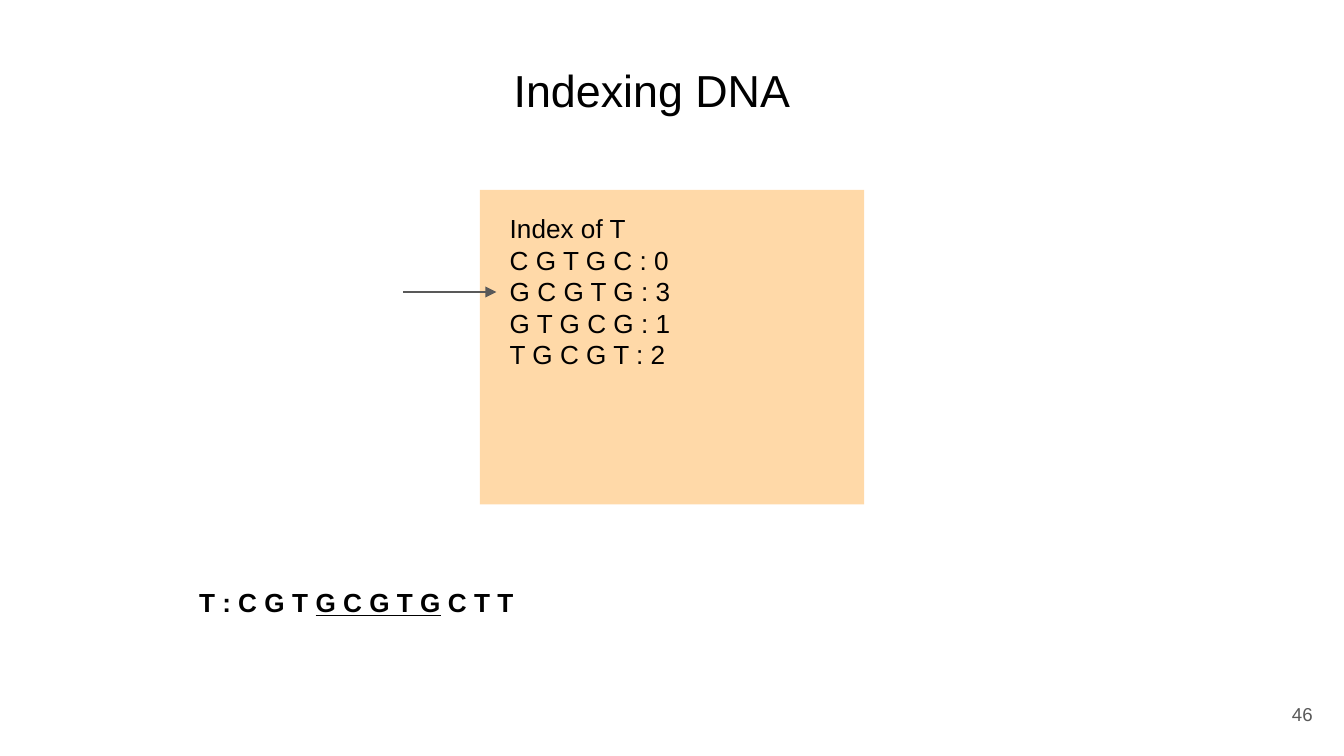
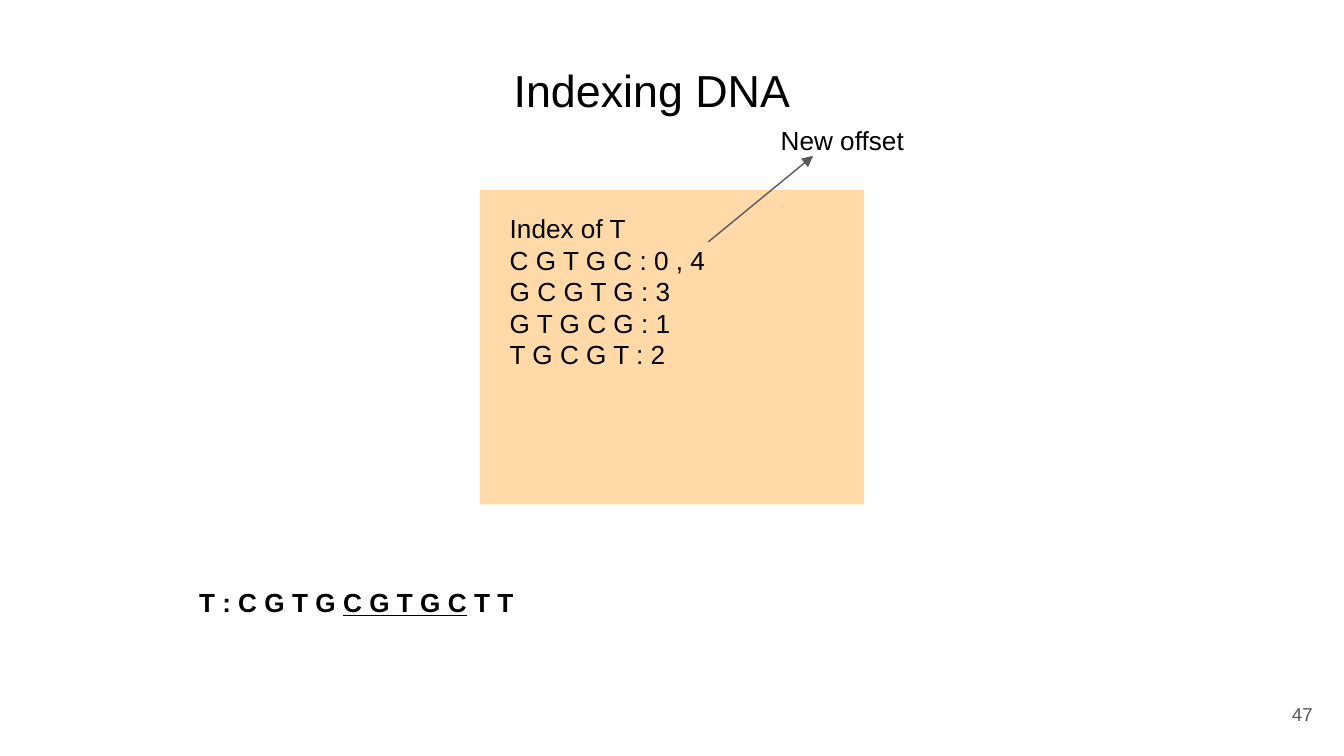
from dataclasses import dataclass
from typing import Optional

import pptx
import pptx.util
import pptx.dml.color
import pptx.enum.shapes
import pptx.enum.text
import pptx.oxml.ns
import pptx.presentation
import pptx.shapes.autoshape
import pptx.slide
import pptx.text.text

RGBColor = pptx.dml.color.RGBColor
Align = pptx.enum.text.PP_ALIGN
Anchor = pptx.enum.text.MSO_ANCHOR
qn = pptx.oxml.ns.qn

# Shared look
BLACK = RGBColor(0x00, 0x00, 0x00)
GRAY = RGBColor(0x59, 0x59, 0x59)
ORANGE = RGBColor(0xFF, 0xA5, 0x31)
PANEL_OPACITY = 42
FONT = "Arial"

# A 16:9 slide with a grid of 100 columns and square cells
WIDTH = pptx.util.Inches(10)
HEIGHT = pptx.util.Emu(WIDTH * 9 // 16)
CELL = WIDTH / 100


@dataclass(frozen=True)
class Box:
    col: float
    row: float
    cols: float
    rows: float

    def emu(self) -> tuple[int, ...]:
        return tuple(cells(n) for n in (self.col, self.row, self.cols, self.rows))


@dataclass(frozen=True)
class Run:
    text: str
    size: float = 14
    color: RGBColor = BLACK
    bold: bool = False
    underline: bool = False


@dataclass(frozen=True)
class Arrow:
    start: tuple[float, float]
    end: Optional[tuple[float, float]] = None  # None: joined to the index list


@dataclass(frozen=True)
class IndexStep:
    number: int
    first_offsets: str
    sequence: tuple[str, str, str]  # before, current k-mer, after
    arrow: Arrow
    label: str = ""


TITLE = Box(1.9, 3.5, 93.2, 6.3)
NUMBER = Box(92.65, 51, 6, 4.3)
PANEL = Box(35.7, 14.13, 28.6, 23.4)
INDEX = Box(36.94, 14.83, 26.1, 13.8)
SEQUENCE = Box(13.83, 42.64, 72.6, 4.4)
LABEL = Box(57.1, 8.24, 18.2, 4.4)

STEPS = [
    IndexStep(46, "0", ("T : C G T ", "G C G T G", " C T T"), Arrow((30, 21.73))),
    IndexStep(47, "0 , 4", ("T : C G T G ", "C G T G C", " T T"),
              Arrow((52.7, 18), (60.5, 11.6)), "New offset"),
]


def cells(n: float) -> int:
    return round(n * CELL)


def write(tf: pptx.text.text.TextFrame, lines: list[list[Run]], pad: float = 1,
          align: Align = Align.LEFT, anchor: Anchor = Anchor.TOP) -> None:
    """Fill a text frame, run by run; pad is the top and bottom inset."""
    tf.word_wrap = True
    tf.vertical_anchor = anchor
    tf.margin_left = tf.margin_right = cells(1)
    tf.margin_top = tf.margin_bottom = cells(pad)
    for i, line in enumerate(lines):
        p = tf.add_paragraph() if i else tf.paragraphs[0]
        p.alignment = align
        for run in line:
            r = p.add_run()
            r.text = run.text
            r.font.name = FONT
            r.font.size = pptx.util.Pt(run.size)
            r.font.color.rgb = run.color
            r.font.bold = run.bold
            r.font.underline = run.underline


def add_text(s: pptx.slide.Slide, box: Box,
             lines: list[list[Run]]) -> pptx.shapes.autoshape.Shape:
    sp = s.shapes.add_textbox(*box.emu())
    write(sp.text_frame, lines)
    sp.text_frame.auto_size = pptx.enum.text.MSO_AUTO_SIZE.SHAPE_TO_FIT_TEXT
    return sp


def add_frame(s: pptx.slide.Slide, number: int) -> None:
    """Title and slide number."""
    title = s.shapes.title
    title.left, title.top, title.width, title.height = TITLE.emu()
    write(title.text_frame, [[Run("Indexing DNA", 24)]], 0.5, Align.CENTER, Anchor.MIDDLE)
    sp = s.shapes.add_textbox(*NUMBER.emu())
    write(sp.text_frame, [[Run(str(number), 10, GRAY)]], 0.5, Align.RIGHT, Anchor.MIDDLE)


def add_panel(s: pptx.slide.Slide) -> None:
    sp = s.shapes.add_shape(pptx.enum.shapes.MSO_SHAPE.RECTANGLE, *PANEL.emu())
    sp.shadow.inherit = False
    sp.line.fill.background()
    sp.fill.solid()
    sp.fill.fore_color.rgb = ORANGE
    color = sp.element.spPr.find(f"{qn('a:solidFill')}/{qn('a:srgbClr')}")
    color.append(color.makeelement(qn("a:alpha"), {"val": str(PANEL_OPACITY * 1000)}))


def add_arrow(s: pptx.slide.Slide, arrow: Arrow,
              target: pptx.shapes.autoshape.Shape) -> None:
    start = [cells(n) for n in arrow.start]
    end = [cells(n) for n in arrow.end or arrow.start]
    line = s.shapes.add_connector(pptx.enum.shapes.MSO_CONNECTOR.STRAIGHT, *start, *end)
    if arrow.end is None:
        line.end_connect(target, 1)
    line.line.color.rgb = GRAY
    line.line.width = pptx.util.Pt(0.75)
    props = line.element.spPr
    ln = props.find(qn("a:ln"))
    ln.append(ln.makeelement(qn("a:tailEnd"), {"type": "triangle"}))
    props.append(props.makeelement(qn("a:effectLst"), {}))


def add_step(prs: pptx.presentation.Presentation, step: IndexStep) -> None:
    s = prs.slides.add_slide(prs.slide_layouts[5])
    add_frame(s, step.number)

    # Index panel
    add_panel(s)
    offsets = {"C G T G C": step.first_offsets, "G C G T G": "3",
               "G T G C G": "1", "T G C G T": "2"}
    entries = [f"{kmer} : {offset}" for kmer, offset in offsets.items()]
    index = add_text(s, INDEX, [[Run(text)] for text in ["Index of T", *entries]])

    # Sequence with the current k-mer underlined
    before, kmer, after = step.sequence
    add_text(s, SEQUENCE, [[Run(before, bold=True), Run(kmer, bold=True, underline=True),
                            Run(after, bold=True)]])

    # Pointer and its label
    add_arrow(s, step.arrow, index)
    if step.label:
        add_text(s, LABEL, [[Run(step.label)]])


def main() -> None:
    prs = pptx.Presentation()
    prs.slide_width, prs.slide_height = WIDTH, HEIGHT
    for step in STEPS:
        add_step(prs, step)
    prs.save("out.pptx")


if __name__ == "__main__":
    main()
